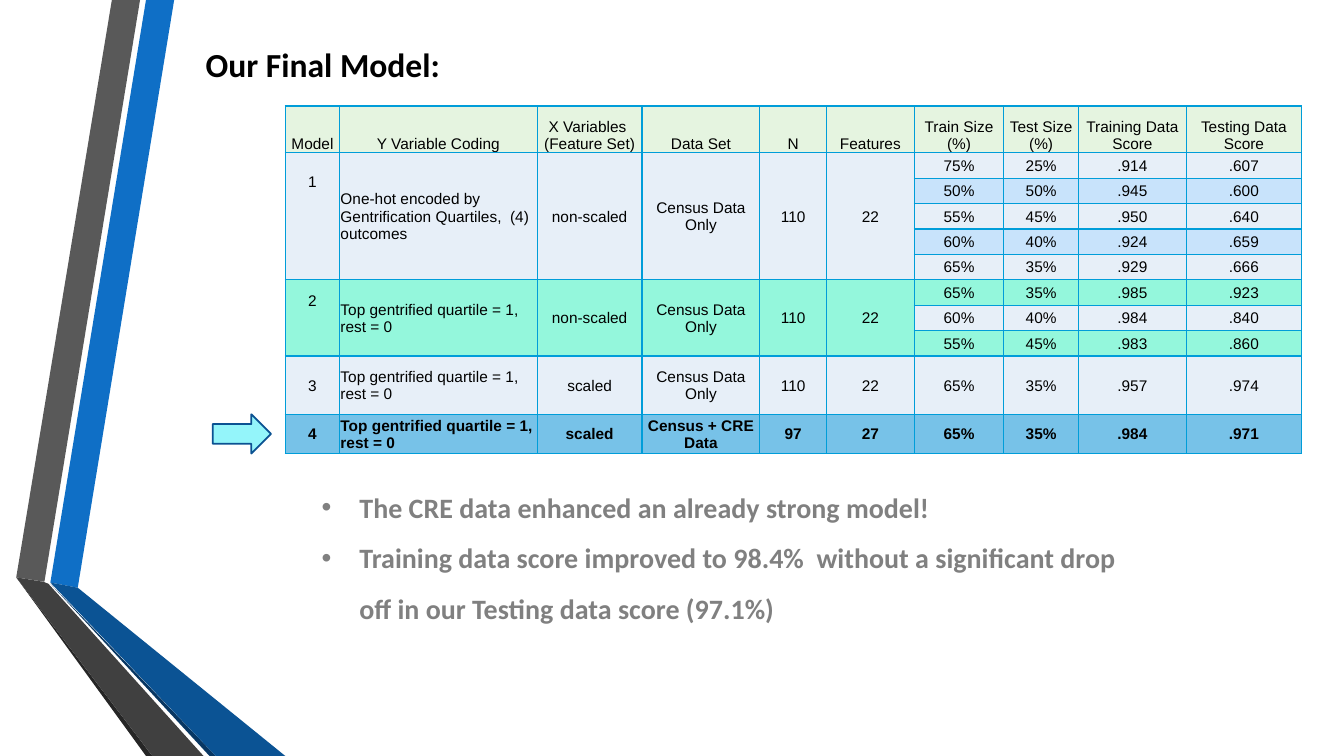
from lxml.etree import SubElement
from pptx import Presentation
from pptx.dml.color import RGBColor
from pptx.enum.shapes import MSO_SHAPE
from pptx.enum.text import MSO_ANCHOR, PP_ALIGN
from pptx.oxml.ns import qn
from pptx.util import Cm, Pt

COLORS = {
    "blue": "0F6FC6", "grey": "595959", "black_edge": "262626", "navy_edge": "083763",
    "deep_blue": "0B5394", "charcoal": "404040", "title": "000000", "body": "808080",
    "border": "009DD9", "header": "E5F4E0", "pale": "E7EFF8", "sky": "C8E3FB",
    "mint": "94F7DC", "final": "77C2E8", "arrow": "94F5FA", "arrow_line": "0B5292",
}

BANDS = [
    ("blue", [(1.27, 14.68), (1.96, 14.81), (4.39, 0), (3.68, 0)]),
    ("grey", [(3.53, 0), (2.82, 0), (0.41, 14.55), (1.12, 14.66)]),
    ("black_edge", [(0.41, 14.55), (3.68, 19.05), (3.84, 19.05)]),
    ("navy_edge", [(1.27, 14.71), (5.28, 19.05), (5.44, 19.05)]),
    ("deep_blue", [(1.27, 14.68), (5.44, 19.05), (7.19, 19.05), (1.96, 14.81)]),
    ("charcoal", [(5.13, 19.05), (1.22, 14.71), (1.09, 14.66), (0.41, 14.55), (3.84, 19.05)]),
]

HEADERS = ["Model", "Y Variable Coding", "X Variables \n(Feature Set)", "Data Set", "N", "Features",
           "Train Size (%)", "Test Size\n(%)", "Training Data Score", "Testing Data Score"]
QUARTILE = "Top gentrified quartile = 1, rest = 0"
MODELS = [
    (["1", "One-hot encoded by Gentrification Quartiles,  (4) outcomes", "non-scaled",
      "Census Data\nOnly", "110", "22"], ["pale", "sky"],
     [["75%", "25%", ".914", ".607"], ["50%", "50%", ".945", ".600"],
      ["55%", "45%", ".950", ".640"], ["60%", "40%", ".924", ".659"],
      ["65%", "35%", ".929", ".666"]]),
    (["2", QUARTILE, "non-scaled", "Census Data\nOnly", "110", "22"], ["mint", "pale"],
     [["65%", "35%", ".985", ".923"], ["60%", "40%", ".984", ".840"],
      ["55%", "45%", ".983", ".860"]]),
    (["3", QUARTILE, "scaled", "Census Data Only", "110", "22"], ["pale"],
     [["65%", "35%", ".957", ".974"]]),
    (["4", QUARTILE, "scaled", "Census + CRE Data", "97", "27"], ["final"],
     [["65%", "35%", ".984", ".971"]]),
]
COL_WIDTHS = [1.37, 4.98, 2.64, 2.97, 1.68, 2.21, 2.26, 1.88, 2.72, 2.9]
ROW_HEIGHTS = [1.18] + [0.64] * 8 + [1.48, 0.98]
MODEL_NUMBER_DROP = {"1": 0.52, "2": 0.31}
BULLETS = [
    "The CRE data enhanced an already strong model!",
    "Training data score improved to 98.4%  without a significant drop off in our "
    "Testing data score (97.1%)",
]


def rgb(name):
    """Return the named colour."""
    return RGBColor.from_string(COLORS[name])


def place(sp, left, top, width, height):
    """Move a shape to its box, given in centimetres."""
    sp.left, sp.top, sp.width, sp.height = Cm(left), Cm(top), Cm(width), Cm(height)


def add_bands(s, left, top):
    """Draw the folded ribbons on the left edge."""
    for color, points in BANDS:
        outline = [(Cm(left + x), Cm(top + y)) for x, y in points]
        builder = s.shapes.build_freeform(*outline[0])
        builder.add_line_segments(outline[1:], close=True)
        sp = builder.convert_to_shape()
        sp.shadow.inherit = False
        sp.fill.solid()
        sp.fill.fore_color.rgb = rgb(color)
        sp.line.fill.background()


def fill_placeholder(sp, box, lines, size, color):
    """Write bold lines into a placeholder moved to the box."""
    place(sp, *box)
    tf = sp.text_frame
    tf.text = "\n".join(lines)
    tf.word_wrap = True
    tf.vertical_anchor = MSO_ANCHOR.TOP
    for p in tf.paragraphs:
        p.alignment = PP_ALIGN.LEFT
        p.space_before = Pt(0)
        p.font.name = "Calibri"
        p.font.size = Pt(size)
        p.font.bold = True
        p.font.color.rgb = rgb(color)
    return tf


def add_borders(cell):
    """Outline a cell on all four sides."""
    tcPr = cell._tc.get_or_add_tcPr()
    for side in ("a:lnL", "a:lnR", "a:lnT", "a:lnB"):
        ln = SubElement(tcPr, qn(side), w=str(Pt(1)))
        fill = SubElement(ln, qn("a:solidFill"))
        SubElement(fill, qn("a:srgbClr"), val=COLORS["border"])


def write_cell(cell, text, color, align=PP_ALIGN.CENTER, anchor=MSO_ANCHOR.MIDDLE, bold=False):
    """Fill a cell and set its text."""
    cell.fill.solid()
    cell.fill.fore_color.rgb = rgb(color)
    cell.margin_left = cell.margin_right = cell.margin_top = Cm(0.02)
    cell.margin_bottom = Cm(0)
    cell.vertical_anchor = anchor
    cell.text = text
    for p in cell.text_frame.paragraphs:
        p.alignment = align
        p.font.name = "Arial"
        p.font.size = Pt(11)
        p.font.bold = bold
        p.font.color.rgb = rgb("title")


def add_model_table(s, left, top):
    """Build the table comparing the four models."""
    frame = s.shapes.add_table(len(ROW_HEIGHTS), len(COL_WIDTHS), Cm(left), Cm(top),
                               Cm(sum(COL_WIDTHS)), Cm(sum(ROW_HEIGHTS)))
    table = frame.table
    for column, width in zip(table.columns, COL_WIDTHS):
        column.width = Cm(width)
    for row, height in zip(table.rows, ROW_HEIGHTS):
        row.height = Cm(height)
    for cell in table.iter_cells():
        add_borders(cell)
    for col, text in enumerate(HEADERS):
        write_cell(table.cell(0, col), text, "header", anchor=MSO_ANCHOR.BOTTOM)

    first = 1
    for facts, fills, scores in MODELS:
        bold = fills == ["final"]
        for col, text in enumerate(facts):
            cell = table.cell(first, col)
            if len(scores) > 1:
                cell.merge(table.cell(first + len(scores) - 1, col))
            align = PP_ALIGN.LEFT if col == 1 else PP_ALIGN.CENTER
            write_cell(cell, text, fills[0], align, bold=bold)
        if facts[0] in MODEL_NUMBER_DROP:
            number = table.cell(first, 0)
            number.vertical_anchor = MSO_ANCHOR.TOP
            number.margin_top = Cm(MODEL_NUMBER_DROP[facts[0]])
        for i, values in enumerate(scores):
            for col, text in enumerate(values, len(facts)):
                write_cell(table.cell(first + i, col), text, fills[i % len(fills)], bold=bold)
        first += len(scores)


def add_arrow(s, left, top, width, height):
    """Point an arrow at the final model."""
    sp = s.shapes.add_shape(MSO_SHAPE.RIGHT_ARROW, Cm(left), Cm(top), Cm(width), Cm(height))
    sp.shadow.inherit = False
    sp.fill.solid()
    sp.fill.fore_color.rgb = rgb("arrow")
    sp.line.color.rgb = rgb("arrow_line")
    sp.line.width = Pt(1.25)


def build_model_slide(prs):
    """Lay out the final model slide."""
    s = prs.slides.add_slide(prs.slide_layouts[1])
    add_bands(s, 0, 0)
    fill_placeholder(s.shapes.title, (4.93, 0.97, 27.89, 4.27), ["Our Final Model:"], 24, "title")
    add_model_table(s, 7.19, 2.67)
    add_arrow(s, 5.36, 10.44, 1.47, 0.99)
    tf = fill_placeholder(s.placeholders[1], (7.85, 11.81, 20.85, 3.96), BULLETS, 20, "body")
    for p in tf.paragraphs:
        p.line_spacing = 1.5


def main():
    """Create the presentation."""
    prs = Presentation()
    prs.slide_width, prs.slide_height = Cm(33.87), Cm(19.05)
    build_model_slide(prs)
    prs.save("out.pptx")


if __name__ == "__main__":
    main()
